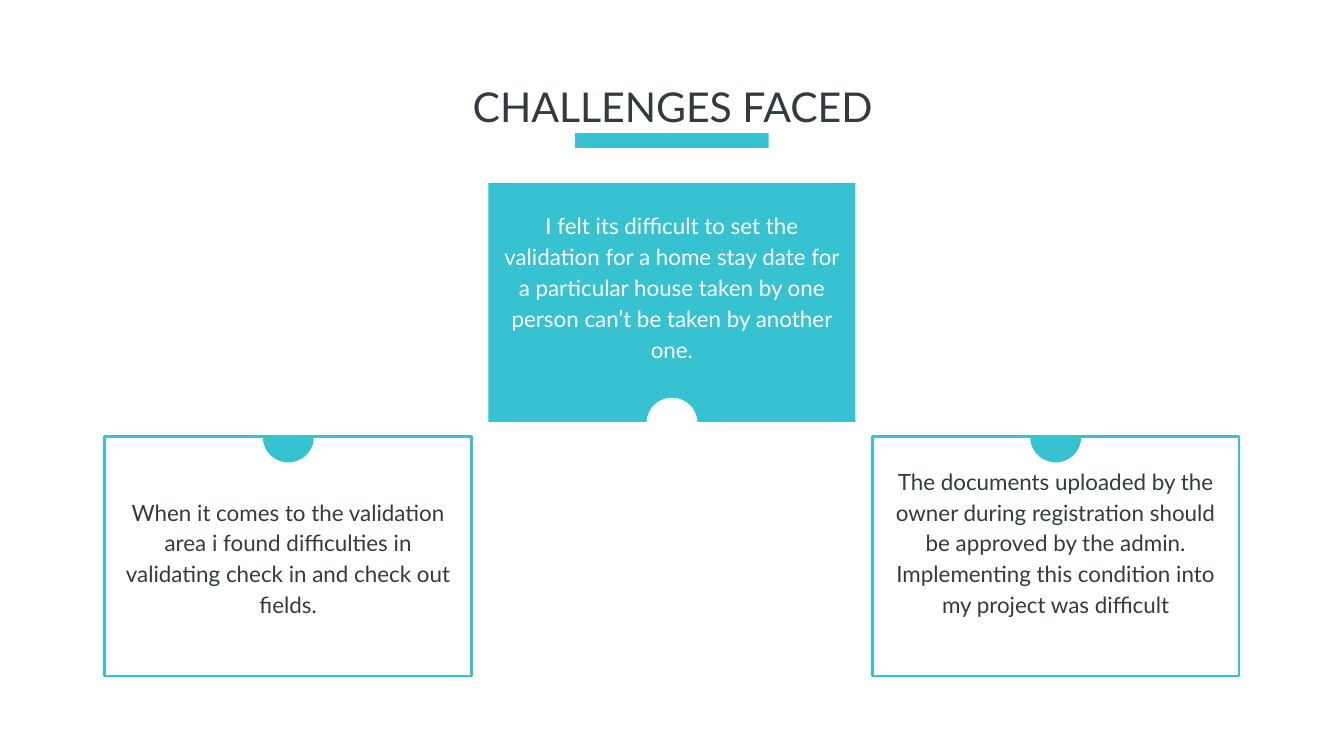
from pptx import Presentation
from pptx.dml.color import RGBColor
from pptx.enum.shapes import MSO_SHAPE
from pptx.enum.text import MSO_ANCHOR, MSO_AUTO_SIZE, PP_ALIGN
from pptx.util import Inches, Pt

TEAL = RGBColor(0x37, 0xC2, 0xD1)
DARK = RGBColor(0x32, 0x3C, 0x40)
WHITE = RGBColor(0xFF, 0xFF, 0xFF)

PAGE_WIDTH = 10
PAGE_HEIGHT = PAGE_WIDTH * 9 / 16
CARD_WIDTH, CARD_HEIGHT = 2.73, 1.78
NOTCH_SIZE = 0.38
INSET = 0.1
LINE_HEIGHT = 0.23
UPPER_TOP, LOWER_TOP = 1.36, 3.25


def write_text(box, text, size=12, color=DARK, line_spacing=1.15, bottom_inset=INSET):
    frame = box.text_frame
    frame.word_wrap = True
    frame.auto_size = MSO_AUTO_SIZE.NONE
    frame.vertical_anchor = MSO_ANCHOR.MIDDLE
    frame.margin_left = frame.margin_right = frame.margin_top = Inches(INSET)
    frame.margin_bottom = Inches(bottom_inset)
    paragraph = frame.paragraphs[0]
    paragraph.alignment = PP_ALIGN.CENTER
    paragraph.line_spacing = line_spacing
    span = paragraph.add_run()
    span.text = text
    span.font.name = "Lato"
    span.font.size = Pt(size)
    span.font.color.rgb = color


def add_block(page, kind, left, top, width, height, fill=None, line=None):
    block = page.shapes.add_shape(
        kind, Inches(left), Inches(top), Inches(width), Inches(height))
    block.shadow.inherit = False
    if fill is None:
        block.fill.background()
    else:
        block.fill.solid()
        block.fill.fore_color.rgb = fill
    if line is None:
        block.line.fill.background()
    else:
        block.line.color.rgb = line
        block.line.width = Pt(1.5)
    return block


def add_notch(page, center, edge, color, rotation=0):
    """Half disc resting on a card edge; it points up unless rotated."""
    notch = add_block(page, MSO_SHAPE.PIE, center - NOTCH_SIZE / 2,
                      edge - NOTCH_SIZE / 2, NOTCH_SIZE, NOTCH_SIZE, fill=color)
    # Angles are in units of 100000/60000 degrees: 108 is 180 degrees.
    notch.adjustments[0] = 108
    notch.adjustments[1] = 215.71
    notch.rotation = rotation


def add_title(page, text):
    title = page.shapes.title
    title.left, title.top = Inches(0.78), Inches(0.59)
    title.width, title.height = Inches(8.45), Inches(0.4)
    write_text(title, text, size=22, line_spacing=1)
    bar_width = 1.44
    add_block(page, MSO_SHAPE.RECTANGLE, (PAGE_WIDTH - bar_width) / 2, 0.99,
              bar_width, 0.11, fill=TEAL)


def add_filled_card(page, left, text):
    add_block(page, MSO_SHAPE.RECTANGLE, left, UPPER_TOP,
              CARD_WIDTH, CARD_HEIGHT, fill=TEAL)
    box = page.shapes.add_textbox(Inches(left), Inches(UPPER_TOP - 0.01),
                                  Inches(CARD_WIDTH), Inches(CARD_HEIGHT))
    write_text(box, text, color=WHITE, bottom_inset=INSET + LINE_HEIGHT)
    # A slight overhang keeps a teal hairline from showing under the notch.
    add_notch(page, left + CARD_WIDTH / 2, UPPER_TOP + CARD_HEIGHT + 0.01, WHITE)


def add_outlined_card(page, left, text, bottom_inset=INSET):
    card = add_block(page, MSO_SHAPE.RECTANGLE, left, LOWER_TOP,
                     CARD_WIDTH, CARD_HEIGHT, line=TEAL)
    write_text(card, text, bottom_inset=bottom_inset)
    add_notch(page, left + CARD_WIDTH / 2, LOWER_TOP, TEAL, rotation=180)


def main():
    deck = Presentation()
    deck.slide_width, deck.slide_height = Inches(PAGE_WIDTH), Inches(PAGE_HEIGHT)
    page = deck.slides.add_slide(deck.slide_layouts[5])

    add_title(page, "CHALLENGES FACED")
    add_filled_card(
        page, (PAGE_WIDTH - CARD_WIDTH) / 2,
        "I felt its difficult to set the validation for a home stay date for "
        "a particular house taken by one person can’t be taken by another one.")
    add_outlined_card(
        page, 0.78,
        "When it comes to the validation area i found difficulties in "
        "validating check in and check out fields.")
    add_outlined_card(
        page, 6.49,
        "The documents uploaded by the owner during registration should be "
        "approved by the admin. Implementing this condition into my project "
        "was difficult",
        bottom_inset=INSET + LINE_HEIGHT)

    deck.save("out.pptx")


if __name__ == "__main__":
    main()
